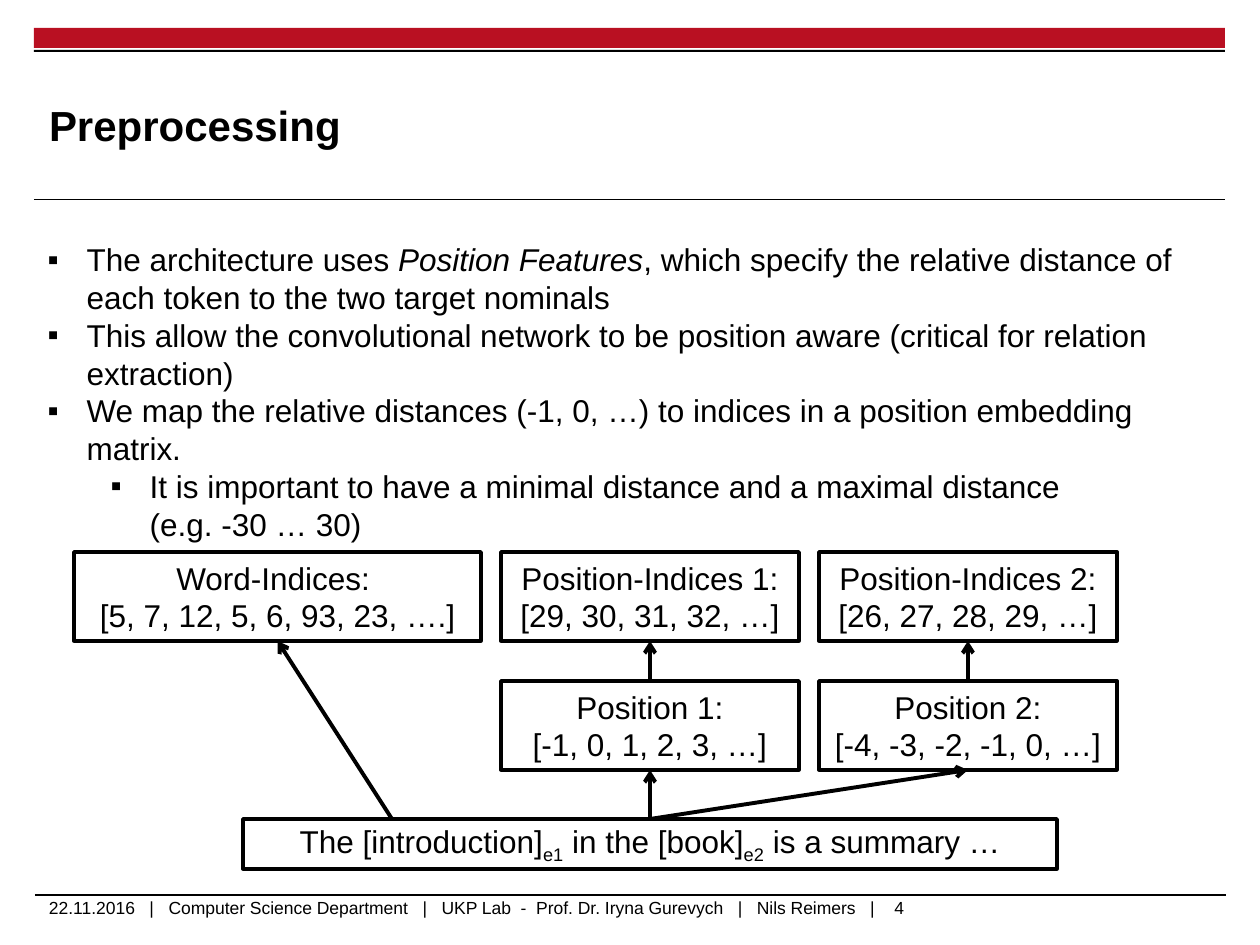
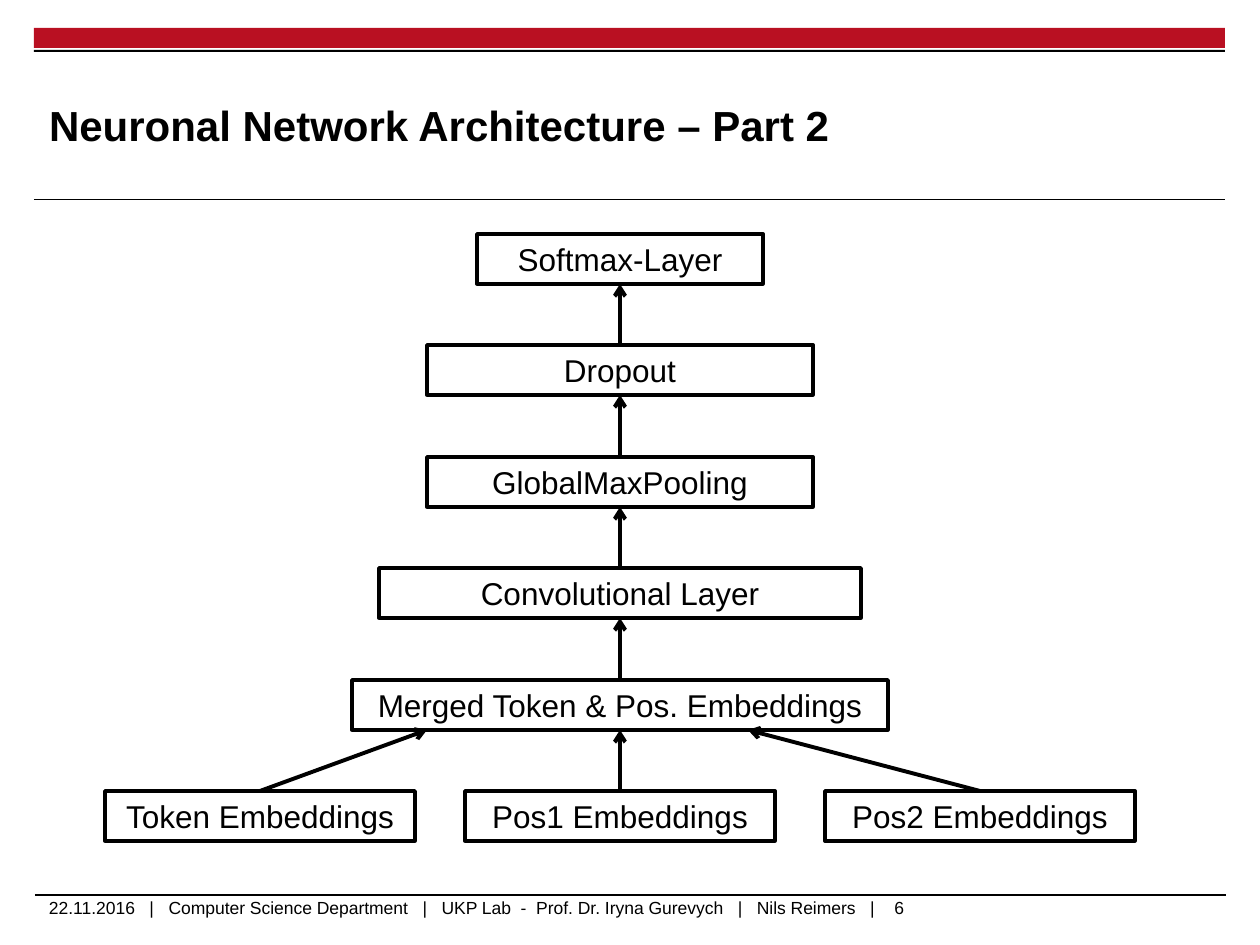
from lxml.etree import SubElement
from pptx import Presentation
from pptx.dml.color import RGBColor
from pptx.enum.shapes import MSO_CONNECTOR, MSO_SHAPE
from pptx.enum.text import MSO_ANCHOR, MSO_AUTO_SIZE, PP_ALIGN
from pptx.oxml.ns import qn
from pptx.util import Emu, Pt

PX_PER_INCH = 126
FONT = "Arial"
RED = "B91022"
BLACK = "000000"
LEFT, BAND_W = 34, 1191
TEXT_LEFT = 49
FOOTER = "   |   ".join([
    "22.11.2016", "Computer Science Department",
    "UKP Lab  -  Prof. Dr. Iryna Gurevych", "Nils Reimers",
]) + "   |"
ITALIC, SUB = "italic", "sub"


def px(n):
    return Emu(round(n * 914400 / PX_PER_INCH))


def rgb(color):
    return RGBColor.from_string(color)


def place(sp, x, y, w, h):
    sp.left, sp.top, sp.width, sp.height = px(x), px(y), px(w), px(h)


def add_run(p, text, size, bold=False, style=None):
    r = p.add_run()
    r.text = text
    r.font.name, r.font.size, r.font.bold = FONT, Pt(size), bold
    r.font.color.rgb = rgb(BLACK)
    if style == ITALIC:
        r.font.italic = True
    elif style == SUB:
        r._r.get_or_add_rPr().set("baseline", "-25000")


def add_runs(p, runs, size):
    """Add (text, style) pairs; a newline in a text is a line break."""
    for text, style in runs:
        for i, line in enumerate(text.split("\n")):
            if i:
                p.add_line_break()
            add_run(p, line, size, style=style)


def clear_insets(tf):
    tf.margin_left = tf.margin_top = tf.margin_right = tf.margin_bottom = 0


def paragraphs(tf, count):
    """Return the first paragraph and as many new ones as are needed."""
    return [tf.paragraphs[0]] + [tf.add_paragraph() for _ in range(count - 1)]


def add_band(slide, y, h, color):
    sp = slide.shapes.add_shape(MSO_SHAPE.RECTANGLE, px(LEFT), px(y), px(BAND_W), px(h))
    sp.shadow.inherit = False
    sp.fill.solid()
    sp.fill.fore_color.rgb = rgb(color)
    sp.line.fill.background()


def add_line(slide, x1, y1, x2, y2, width):
    """Add a plain black line between two points in EMU."""
    cxn = slide.shapes.add_connector(MSO_CONNECTOR.STRAIGHT, x1, y1, x2, y2)
    cxn.line.color.rgb = rgb(BLACK)
    cxn.line.width = Pt(width)
    SubElement(cxn._element.spPr, qn("a:effectLst"))
    return cxn


def add_rule(slide, x, y):
    add_line(slide, px(x), px(y), px(x + BAND_W), px(y), 0.6)


def add_label(slide, text, x, y, w, h, wrap=True):
    tf = slide.shapes.add_textbox(px(x), px(y), px(w), px(h)).text_frame
    tf.word_wrap = wrap
    add_run(tf.paragraphs[0], text, 10)
    return tf


def add_slide(prs, layout, title, number):
    slide = prs.slides.add_slide(prs.slide_layouts.get_by_name(layout))
    add_band(slide, 28, 20, RED)
    add_band(slide, 50, 2, BLACK)
    add_rule(slide, LEFT, 200)
    add_rule(slide, LEFT + 1, 895)
    clear_insets(add_label(slide, FOOTER, TEXT_LEFT, 897, 1096, 32))
    add_label(slide, number, 882, 891, 60, 34, wrap=False)

    sp = slide.shapes.title
    place(sp, TEXT_LEFT, 67, 948, 116)
    tf = sp.text_frame
    clear_insets(tf)
    tf.auto_size = MSO_AUTO_SIZE.NONE
    tf.vertical_anchor = MSO_ANCHOR.MIDDLE
    p = tf.paragraphs[0]
    p.alignment = PP_ALIGN.LEFT
    add_run(p, title, 24, bold=True)
    return slide


def fill_bullets(sp, items):
    """Fill the body placeholder with (level, runs) items."""
    tf = sp.text_frame
    tf.auto_size = MSO_AUTO_SIZE.NONE
    for p, (level, runs) in zip(paragraphs(tf, len(items)), items):
        p.level = level
        p.space_before = Pt(0)
        pPr = p._p.get_or_add_pPr()
        pPr.set("marL", str(px(39 + 63 * level)))
        pPr.set("indent", str(-px(39)))
        SubElement(pPr, qn("a:buFont"), typeface=FONT)
        SubElement(pPr, qn("a:buChar"), char="▪")
        add_runs(p, runs, 18)


def add_box(slide, lines, x, y, w, h):
    """Add an outlined box; each line is a list of (text, style) runs."""
    sp = slide.shapes.add_shape(MSO_SHAPE.RECTANGLE, px(x), px(y), px(w), px(h))
    sp.shadow.inherit = False
    sp.fill.background()
    sp.line.color.rgb = rgb(BLACK)
    sp.line.width = Pt(2)
    tf = sp.text_frame
    tf.word_wrap = True
    for p, runs in zip(paragraphs(tf, len(lines)), lines):
        p.alignment = PP_ALIGN.CENTER
        add_runs(p, runs, 18)
    return sp


def add_list_box(slide, heading, values, x, y, w):
    return add_box(slide, [[(heading, None)], [(values, None)]], x, y, w, 89)


def add_layer(slide, name, center, y, w):
    return add_box(slide, [[(name, None)]], center - w // 2, y, w, 50)


def add_arrow(slide, lower, upper, start_dx=0, end_dx=0):
    """Point from the top of lower to the bottom of upper, shifted from their centres."""
    x1 = lower.left + lower.width // 2 + px(start_dx)
    x2 = upper.left + upper.width // 2 + px(end_dx)
    cxn = add_line(slide, x1, lower.top, x2, upper.top + upper.height, 2.25)
    SubElement(cxn.line._get_or_add_ln(), qn("a:tailEnd"), type="arrow")


def build_preprocessing(prs):
    slide = add_slide(prs, "Title and Content", "Preprocessing", "4")
    body = slide.placeholders[1]
    place(body, 35, 234, 1191, 318)
    fill_bullets(body, [
        (0, [("The architecture uses ", None), ("Position Features", ITALIC),
             (", which specify the relative distance of each token to the two "
              "target nominals", None)]),
        (0, [("This allow the convolutional network to be position aware "
              "(critical for relation extraction)", None)]),
        (0, [("We map the relative distances (-1, 0, …) to indices in a "
              "position embedding matrix.", None)]),
        (1, [("It is important to have a minimal distance and a maximal "
              "distance \n(e.g. -30 … 30)", None)]),
    ])

    sentence = add_box(slide, [[
        ("The [introduction]", None), ("e1", SUB), (" in the [book]", None),
        ("e2", SUB), (" is a summary …", None),
    ]], 243, 819, 814, 50)
    words = add_list_box(slide, "Word-Indices: ", "[5, 7, 12, 5, 6, 93, 23, ….]", 74, 552, 407)
    add_arrow(slide, sentence, words, start_dx=-258)

    columns = [("[-1, 0, 1, 2, 3, …]", "[29, 30, 31, 32, …]"),
               ("[-4, -3, -2, -1, 0, …]", "[26, 27, 28, 29, …]")]
    for i, (distances, indices) in enumerate(columns):
        x = 501 + 318 * i
        position = add_list_box(slide, f"Position {i + 1}:", distances, x, 681, 298)
        index = add_list_box(slide, f"Position-Indices {i + 1}:", indices, x, 552, 298)
        add_arrow(slide, sentence, position)
        add_arrow(slide, position, index)


def build_architecture(prs):
    slide = add_slide(prs, "Title Only", "Neuronal Network Architecture – Part 2", "6")
    center, top, pitch = 620, 234, 111.4
    layers = [("Softmax-Layer", 286), ("Dropout", 386), ("GlobalMaxPooling", 386),
              ("Convolutional Layer", 482), ("Merged Token & Pos. Embeddings", 536)]
    upper = None
    for i, (name, width) in enumerate(layers):
        layer = add_layer(slide, name, center, top + round(pitch * i), width)
        if upper is not None:
            add_arrow(slide, layer, upper)
        upper = layer

    inputs = [("Token", -193), ("Pos1", 0), ("Pos2", 128)]
    y = top + round(pitch * len(layers))
    for i, (name, end_dx) in enumerate(inputs):
        source = add_layer(slide, f"{name} Embeddings", center + 360 * (i - 1), y, 310)
        add_arrow(slide, source, upper, end_dx=end_dx)


def main():
    prs = Presentation()
    prs.slide_width, prs.slide_height = px(1260), px(945)
    build_preprocessing(prs)
    build_architecture(prs)
    prs.save("out.pptx")


if __name__ == "__main__":
    main()
